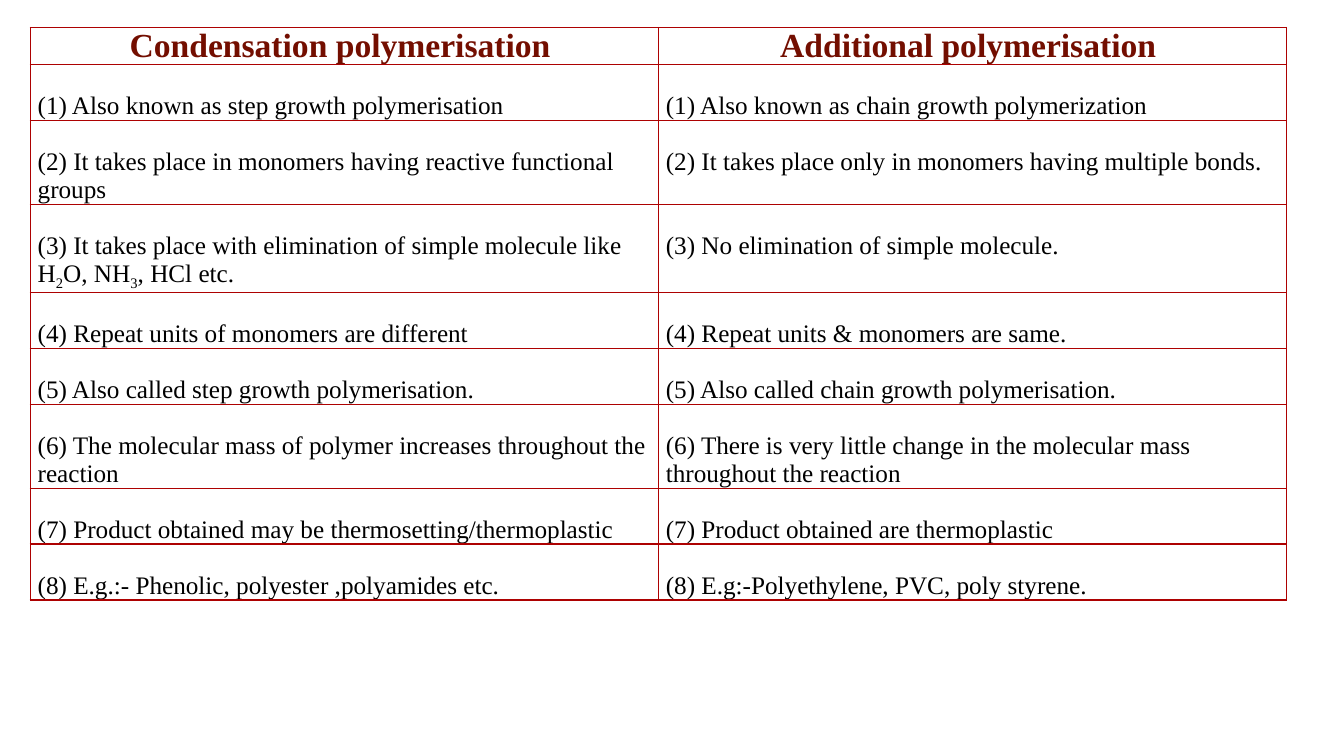
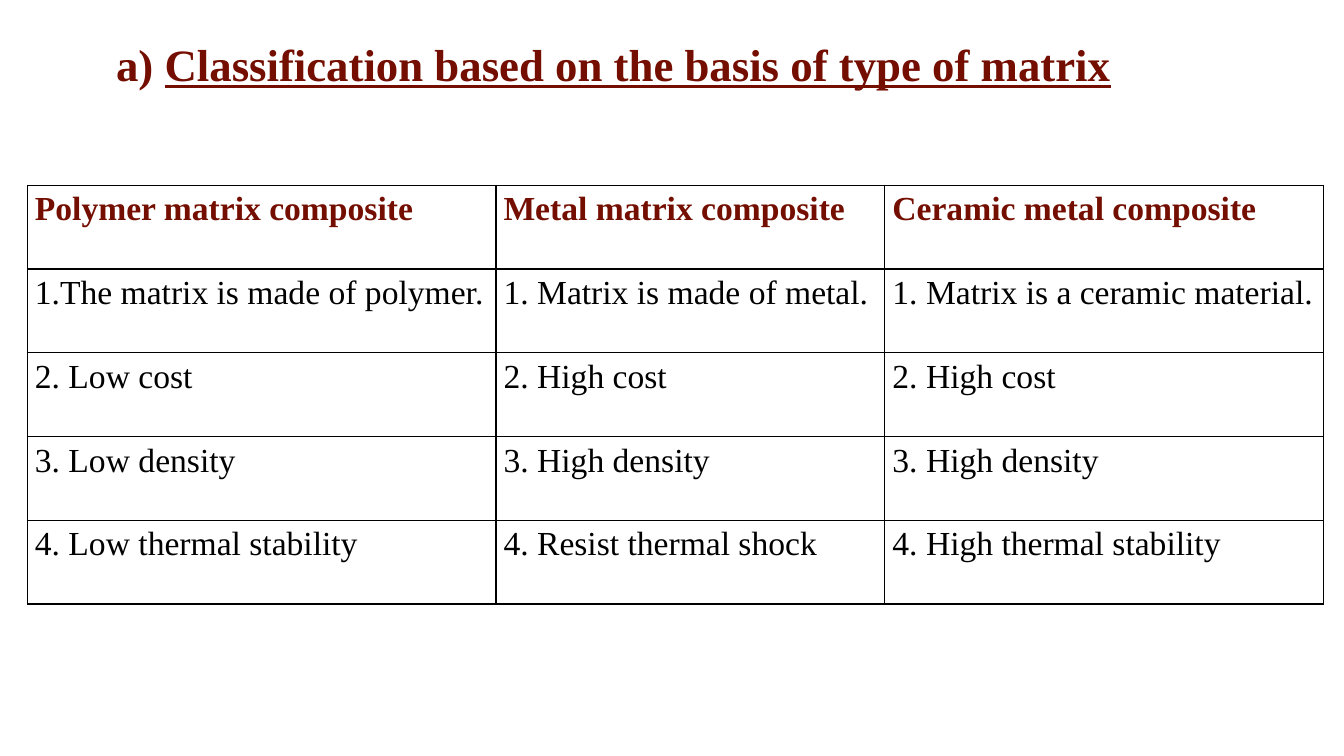
from lxml import etree
from pptx import Presentation
from pptx.dml.color import RGBColor
from pptx.enum import text as t
from pptx.oxml.ns import qn
from pptx.util import Cm, Pt

FONT = "Times New Roman"
MAROON = RGBColor(0x73, 0x0E, 0x00)
RED = RGBColor(0xAD, 0x01, 0x01)
BLACK = RGBColor(0, 0, 0)

GROWTH = [
    ("Condensation polymerisation ", "Additional polymerisation "),
    ("(1) Also known as step growth polymerisation",
     "(1) Also known as chain growth polymerization"),
    ("(2) It takes place in monomers having reactive functional groups",
     "(2) It takes place only in monomers having multiple bonds."),
    ("(3) It takes place with elimination of simple molecule like H|2|O, NH|3|, HCl etc.",
     "(3) No elimination of simple molecule."),
    ("(4) Repeat units of monomers are different",
     "(4) Repeat units & monomers are same."),
    ("(5) Also called step growth polymerisation.",
     "(5) Also called chain growth polymerisation."),
    ("(6) The molecular mass of polymer increases throughout the reaction",
     "(6) There is very little change in the molecular mass throughout the reaction"),
    ("(7) Product obtained may be thermosetting/thermoplastic",
     "(7) Product obtained are thermoplastic"),
    ("(8) E.g.:- Phenolic, polyester ,polyamides etc.",
     "(8) E.g:-Polyethylene, PVC, poly styrene."),
]
ONE, TWO, SUB = 1.41, 2.11, 2.22
HEIGHTS = [0.94, ONE, TWO, SUB, ONE, ONE, TWO, ONE, ONE]

TITLE = [("a) ", False),
         ("Classification based on the basis of type of matrix", True)]
MATRIX = [
    ("Polymer matrix composite", "Metal matrix composite", "Ceramic metal composite"),
    ("1.The matrix is made of polymer.", "1. Matrix is made of metal.",
     "1. Matrix is a ceramic material."),
    ("2. Low cost", "2. High cost", "2. High cost"),
    ("3. Low density", "3. High density", "3. High density"),
    ("4. Low thermal stability", "4. Resist thermal shock", "4. High thermal stability"),
]


def style(run, size, color, bold):
    font = run.font
    font.name, font.size, font.bold = FONT, Pt(size), bold
    font.color.rgb = color


def border(cell, color):
    props = cell._tc.get_or_add_tcPr()
    for i, side in enumerate(("lnL", "lnR", "lnT", "lnB")):
        line = etree.Element(qn("a:" + side), w=str(Pt(1)))
        fill = etree.SubElement(line, qn("a:solidFill"))
        etree.SubElement(fill, qn("a:srgbClr"), val=str(color))
        props.insert(i, line)


def write(cell, words, size, color, bold):
    para = cell.text_frame.paragraphs[0]
    for i, part in enumerate(words.split("|")):
        run = para.add_run()
        run.text = part
        style(run, size, color, bold)
        if i % 2:
            run._r.get_or_add_rPr().set("baseline", "-25000")
    return para


def grid(slide, rows, left, top, widths, heights, line, size, inset, align, space):
    table = slide.shapes.add_table(
        len(rows), len(widths), Cm(left), Cm(top),
        Cm(sum(widths)), Cm(sum(heights))).table
    table.first_row = table.horz_banding = False
    for col, width in zip(table.columns, widths):
        col.width = Cm(width)
    for r, (row, height) in enumerate(zip(rows, heights)):
        table.rows[r].height = Cm(height)
        head = r == 0
        for c, words in enumerate(row):
            cell = table.cell(r, c)
            cell.fill.background()
            border(cell, line)
            cell.margin_left = cell.margin_right = Cm(0.19)
            cell.margin_top = Cm(0 if head else inset)
            cell.margin_bottom = 0
            para = write(cell, words, 24 if head else size,
                         MAROON if head else BLACK, head)
            para.line_spacing = space
            if head:
                para.alignment = align


def heading(slide, parts):
    title = slide.shapes.title
    title.left, title.top, title.width, title.height = Cm(2.67), Cm(0.8), Cm(27.94), Cm(2.39)
    frame = title.text_frame
    frame.word_wrap = True
    frame.auto_size = t.MSO_AUTO_SIZE.NONE
    frame.vertical_anchor = t.MSO_ANCHOR.TOP
    para = frame.paragraphs[0]
    para.alignment = t.PP_ALIGN.LEFT
    for words, under in parts:
        run = para.add_run()
        run.text = words
        style(run, 32, MAROON, True)
        run.font.underline = under


def main():
    deck = Presentation()
    deck.slide_width, deck.slide_height = Cm(33.87), Cm(19.05)
    growth = deck.slides.add_slide(deck.slide_layouts[6])
    grid(growth, GROWTH, 0.76, 0.69, [15.83] * 2, HEIGHTS, RED, 18, 0.7,
         t.PP_ALIGN.CENTER, 1.0)
    matrix = deck.slides.add_slide(deck.slide_layouts[5])
    heading(matrix, TITLE)
    grid(matrix, MATRIX, 0.69, 4.67, [11.81, 9.8, 11.05], [TWO] * 5, BLACK, 24, 0,
         t.PP_ALIGN.LEFT, 1.15)
    deck.save("out.pptx")


if __name__ == "__main__":
    main()
